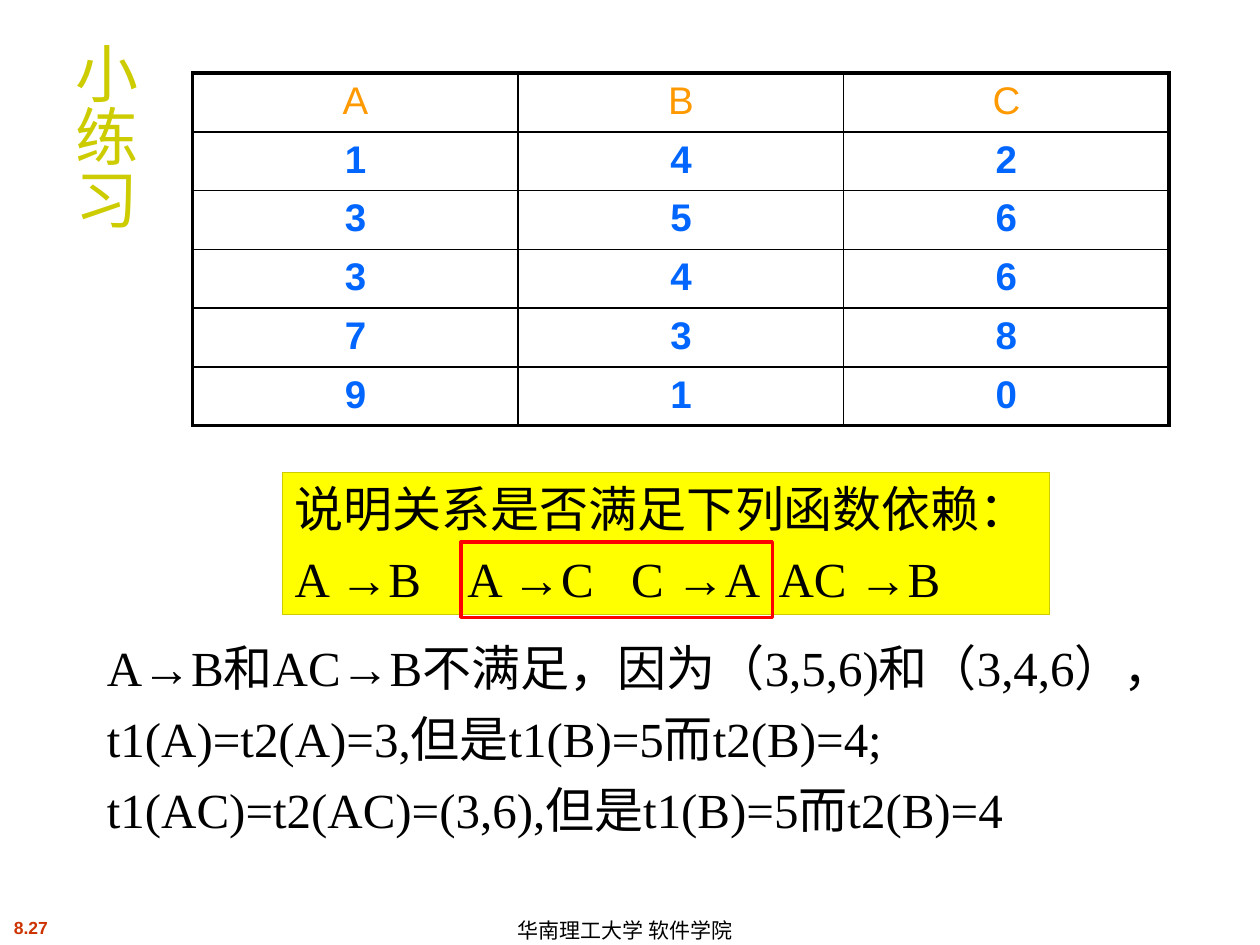
from pptx import Presentation
from pptx.util import Inches, Pt
from pptx.dml.color import RGBColor
from pptx.enum.shapes import MSO_SHAPE
from pptx.enum.text import MSO_ANCHOR, PP_ALIGN
from pptx.oxml.ns import qn
from lxml.etree import SubElement

COLORS = {"black": "000000", "header": "FF9900", "value": "0066FF", "title": "CCCC00",
          "box": "FFFF00", "mark": "FF0000", "number": "CC3300"}
TITLE = "小练习"
ROWS = ["ABC", "142", "356", "346", "738", "910"]
QUESTION = ["说明关系是否满足下列函数依赖：", "A →B\tA →C\tC →A\tAC →B"]
TAB_STOPS = [1.37, 2.67, 3.84]
ANSWER = ["A→B和AC→B不满足，因为（3,5,6)和（3,4,6），t1(A)=t2(A)=3,但是t1(B)=5而t2(B)=4; "
          "t1(AC)=t2(AC)=(3,6),但是t1(B)=5而t2(B)=4"]
SERIF = "Times New Roman"


def rgb(name):
    return RGBColor.from_string(COLORS[name])


def write(tf, lines, size, color="black", font="Arial", bold=False, align=PP_ALIGN.LEFT,
          anchor=MSO_ANCHOR.TOP, wrap=True, spacing=None, before=0, tabs=()):
    tf.word_wrap = wrap
    tf.vertical_anchor = anchor
    for i, line in enumerate(lines):
        p = tf.paragraphs[0] if i == 0 else tf.add_paragraph()
        p.alignment = align
        p.line_spacing = spacing
        if i:
            p.space_before = Pt(before)
        if "\t" in line:
            tab_list = SubElement(p._p.get_or_add_pPr(), qn("a:tabLst"))
            for stop in tabs:
                SubElement(tab_list, qn("a:tab"), pos=str(Inches(stop)), algn="l")
        r = p.add_run()
        r.text = line
        r.font.size, r.font.name, r.font.bold = Pt(size), font, bold
        r.font.color.rgb = rgb(color)


def add_text(s, box, lines, size, **fmt):
    tb = s.shapes.add_textbox(*map(Inches, box))
    write(tb.text_frame, lines, size, **fmt)


def add_rect(s, box, line, width, fill=None):
    sp = s.shapes.add_shape(MSO_SHAPE.RECTANGLE, *map(Inches, box))
    sp.shadow.inherit = False
    if fill:
        sp.fill.solid()
        sp.fill.fore_color.rgb = rgb(fill)
    else:
        sp.fill.background()
    sp.line.color.rgb = rgb(line)
    sp.line.width = Pt(width)
    return sp


def set_borders(cell, outer):
    tc_pr = cell._tc.get_or_add_tcPr()
    for i, (side, thick) in enumerate(outer.items()):
        ln = SubElement(tc_pr, qn("a:ln" + side), w=str(Pt(2.25 if thick else 1)))
        fill = SubElement(ln, qn("a:solidFill"))
        SubElement(fill, qn("a:srgbClr"), val=COLORS["black"])
        tc_pr.insert(i, ln)


def add_relation(s):
    n_rows, n_cols = len(ROWS), len(ROWS[0])
    table = s.shapes.add_table(n_rows, n_cols, Inches(1.53), Inches(0.58),
                               Inches(7.75), Inches(2.8)).table
    table.first_row = table.horz_banding = False
    for i, row in enumerate(ROWS):
        for j, value in enumerate(row):
            cell = table.cell(i, j)
            cell.fill.background()
            set_borders(cell, {"L": j == 0, "R": j == n_cols - 1,
                               "T": i == 0, "B": i == n_rows - 1})
            write(cell.text_frame, [value], 22, color="value" if i else "header",
                  bold=i > 0, align=PP_ALIGN.CENTER)


def main():
    prs = Presentation()
    prs.slide_width, prs.slide_height = Inches(10), Inches(7.5)
    s = prs.slides.add_slide(prs.slide_layouts[5])

    title = s.shapes.title
    title.left, title.top, title.width, title.height = map(Inches, (0.43, 0.28, 0.8, 1.89))
    write(title.text_frame, [TITLE], 36, color="title")
    title.text_frame._txBody.bodyPr.set("vert", "eaVert")

    add_relation(s)
    question = add_rect(s, (2.24, 3.75, 6.09, 1.13), "title", 0.75, fill="box")
    write(question.text_frame, QUESTION, 28, font=SERIF, before=6, tabs=TAB_STOPS)
    add_text(s, (0.75, 4.92, 8.98, 1.74), ANSWER, 28, font=SERIF, spacing=1.2)
    add_rect(s, (3.66, 4.3, 2.47, 0.6), "mark", 2)

    add_text(s, (0, 7.23, 0.49, 0.27), ["8.27"], 10, color="number", bold=True,
             align=PP_ALIGN.CENTER, wrap=False)
    add_text(s, (4.01, 7.25, 2.24, 0.25), ["华南理工大学 软件学院"], 12, spacing=1.1,
             anchor=MSO_ANCHOR.MIDDLE, wrap=False)
    prs.save("out.pptx")


if __name__ == "__main__":
    main()
